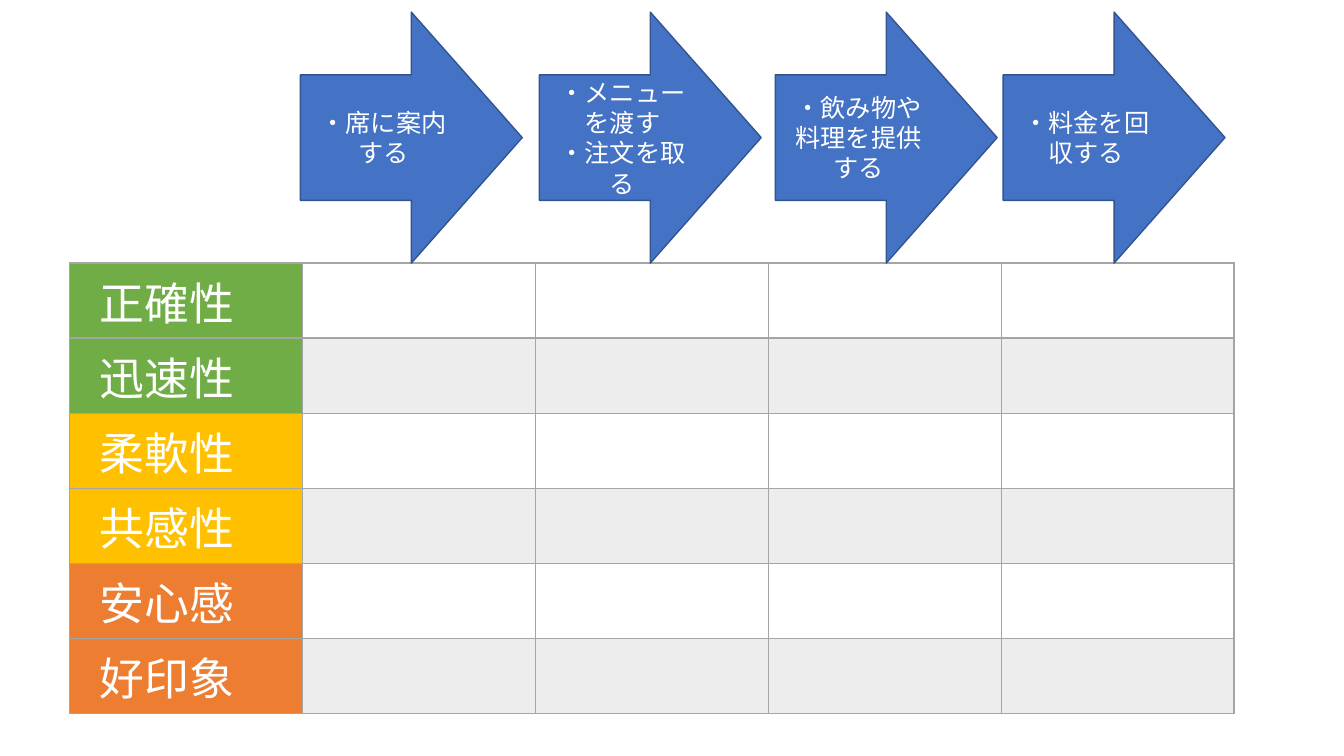
from lxml import etree
from pptx import Presentation
from pptx.dml.color import RGBColor
from pptx.enum.shapes import MSO_SHAPE
from pptx.enum.text import MSO_ANCHOR, PP_ALIGN
from pptx.oxml.ns import qn
from pptx.util import Inches, Pt

ARROW = MSO_SHAPE.RIGHT_ARROW
MIDDLE = MSO_ANCHOR.MIDDLE
CENTER = PP_ALIGN.CENTER
FACE = "Noto Sans CJK JP"
WIDE, HIGH = 13.33, 7.5
LEFT, TOP = 0.69, 2.61
COL, ROW = 2.31, 0.73
COLS = 5
BLUE, NAVY, WHITE = "4472C4", "325491", "FFFFFF"
GREEN, GOLD, ORANGE = "70AD47", "FFC000", "ED7D31"
GREY, PALE = "A5A5A5", "EDEDED"

STEPS = [
    (2.98, ["・席に案内する"]),
    (5.35, ["・メニューを渡す", "・注文を取る"]),
    (7.69, ["・飲み物や料理を提供する"]),
    (9.95, ["・料金を回収する"]),
]
TRAITS = [
    ("正確性", GREEN), ("迅速性", GREEN),
    ("柔軟性", GOLD), ("共感性", GOLD),
    ("安心感", ORANGE), ("好印象", ORANGE),
]


def color(code):
    """Turn a hex string into a colour."""
    return RGBColor.from_string(code)


def paint(item, code):
    """Fill a shape or cell with one solid colour."""
    item.fill.solid()
    item.fill.fore_color.rgb = color(code)


def write(frame, lines, size, **form):
    """Write white paragraphs, with paragraph format taken from form."""
    frame.text = "\n".join(lines)
    for para in frame.paragraphs:
        for name, value in form.items():
            setattr(para, name, value)
        for run in para.runs:
            looks = {"size": Pt(size), "name": FACE, "bold": False}
            for name, value in looks.items():
                setattr(run.font, name, value)
            run.font.color.rgb = color(WHITE)
            east = etree.SubElement(run.font._element, qn("a:ea"))
            east.set("typeface", FACE)


def border(cell, widths):
    """Draw grey cell edges; widths maps each edge tag to points."""
    props = cell._tc.get_or_add_tcPr()
    for spot, (edge, width) in enumerate(widths.items()):
        line = etree.Element(qn("a:" + edge), w=str(Pt(width)))
        fill = etree.SubElement(line, qn("a:solidFill"))
        etree.SubElement(fill, qn("a:srgbClr"), val=GREY)
        props.insert(spot, line)


def add_grid(slide):
    """Add the table of service traits by steps."""
    count = len(TRAITS)
    table = slide.shapes.add_table(
        count, COLS, Inches(LEFT), Inches(TOP),
        Inches(COL * COLS), Inches(ROW * count)).table
    table.first_row = table.horz_banding = False
    for col in table.columns:
        col.width = Inches(COL)
    for row, (label, shade) in enumerate(TRAITS):
        table.rows[row].height = Inches(ROW)
        edges = {"lnL": 1, "lnR": 1, "lnT": 2 if row == 1 else 1,
                 "lnB": 2 if row == 0 else 1}
        for col in range(COLS):
            cell = table.cell(row, col)
            if col == 0:
                paint(cell, shade)
                cell.margin_left = Inches(0.3)
                write(cell.text_frame, [label], 32)
            elif row % 2:
                paint(cell, PALE)
            else:
                cell.fill.background()
            border(cell, edges)


def add_step(slide, left, lines):
    """Add one arrow that names a step of the service."""
    arrow = slide.shapes.add_shape(
        ARROW, Inches(left), Inches(0.12), Inches(2.2), Inches(2.49))
    arrow.shadow.inherit = False
    paint(arrow, BLUE)
    arrow.line.color.rgb = color(NAVY)
    arrow.line.width = Pt(1)
    frame = arrow.text_frame
    frame.word_wrap = True
    frame.vertical_anchor = MIDDLE
    write(frame, lines, 18, alignment=CENTER)


def main():
    """Build and save the slide."""
    deck = Presentation()
    deck.slide_width, deck.slide_height = Inches(WIDE), Inches(HIGH)
    slide = deck.slides.add_slide(deck.slide_layouts[6])
    add_grid(slide)
    for left, lines in STEPS:
        add_step(slide, left, lines)
    deck.save("out.pptx")


main()
